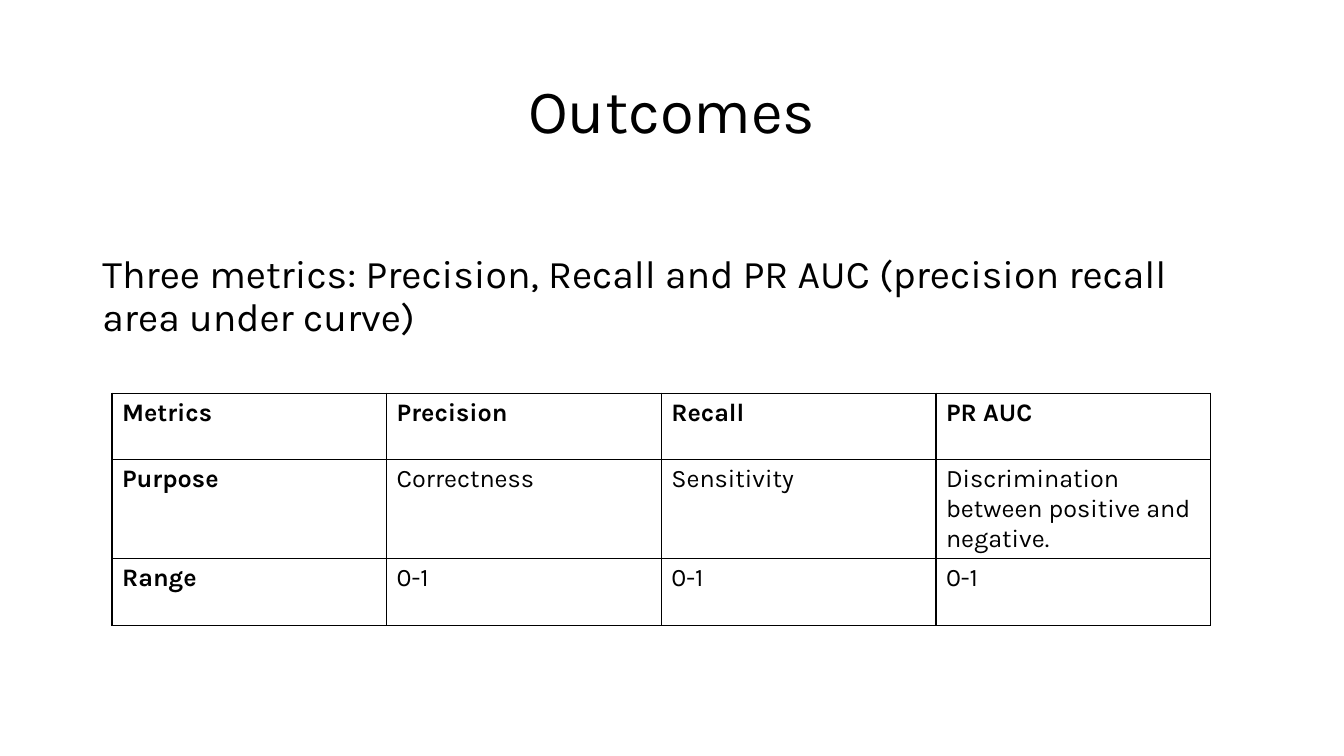
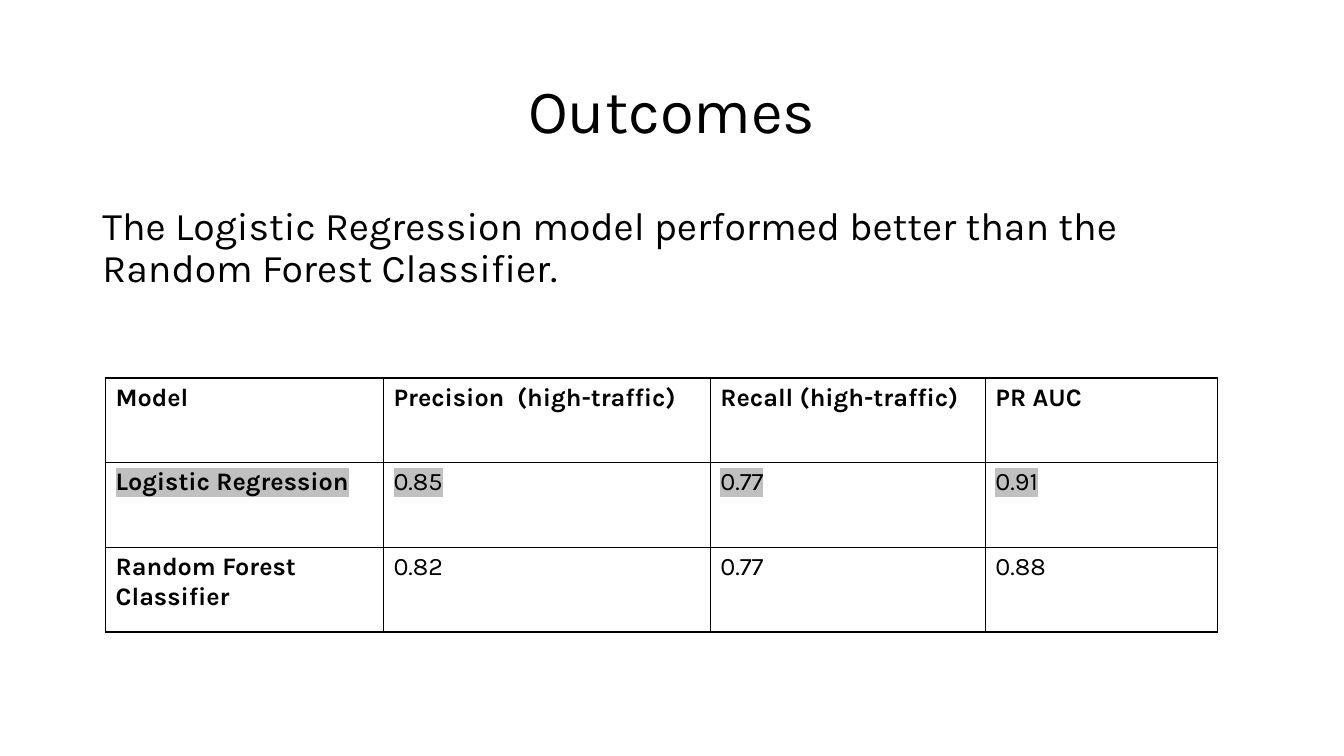
from lxml.etree import SubElement as Sub
from pptx import Presentation
from pptx.dml.color import RGBColor
from pptx.enum.text import MSO_ANCHOR as Anchor, MSO_AUTO_SIZE as Fit, PP_ALIGN as Align
from pptx.oxml.ns import qn
from pptx.util import Pt

# Shared style
BLACK = RGBColor(0x00, 0x00, 0x00)
GREY = RGBColor(0xC0, 0xC0, 0xC0)
FACE = "Karla"
LEFT, WIDTH = 66, 828
FOOT = 486.5  # lower edge of the body text


def style(para, size, bold=False):
    font = para.font
    font.name, font.size, font.bold = FACE, Pt(size), bold
    font.color.rgb = BLACK


def fill_holder(shape, text, top, height, size, anchor):
    """Place a placeholder and set its one paragraph."""
    shape.left, shape.top = Pt(LEFT), Pt(top)
    shape.width, shape.height = Pt(WIDTH), Pt(height)
    frame = shape.text_frame
    frame.text = text
    frame.auto_size = Fit.NONE
    frame.vertical_anchor = anchor
    para = frame.paragraphs[0]
    para.line_spacing = 0.9
    style(para, size)
    return para


def add_slide(deck, title, text, top):
    slide = deck.slides.add_slide(deck.slide_layouts[1])
    head = fill_holder(slide.shapes.title, title, 28.8, 104.4, 44, Anchor.MIDDLE)
    head.alignment = Align.CENTER
    body = fill_holder(slide.placeholders[1], text, top, FOOT - top, 28, Anchor.TOP)
    body.space_before = Pt(10)
    # Plain text: no bullet, no indent
    props = body._p.get_or_add_pPr()
    props.set("marL", "0")
    props.set("indent", "0")
    props.insert_element_before(props.makeelement(qn("a:buNone")), "a:defRPr")
    return slide


def add_edges(cell):
    props = cell._tc.get_or_add_tcPr()
    for spot, side in enumerate(("lnL", "lnR", "lnT", "lnB")):
        line = props.makeelement(qn("a:" + side), {"w": str(Pt(1))})
        fill = Sub(line, qn("a:solidFill"))
        Sub(fill, qn("a:srgbClr"), val=str(BLACK))
        props.insert(spot, line)


def mark(para):
    """Highlight the text of a paragraph."""
    for run in para.runs:
        light = Sub(run._r.get_or_add_rPr(), qn("a:highlight"))
        Sub(light, qn("a:srgbClr"), val=str(GREY))


def add_grid(slide, rows, left, top, widths, height, best=None):
    """Add a table with bold first row and column; mark the row 'best'."""
    frame = slide.shapes.add_table(len(rows), len(widths), Pt(left), Pt(top),
                                   Pt(sum(widths)), Pt(height * len(rows)))
    table = frame.table
    table.first_row = table.horz_banding = False
    for col, width in zip(table.columns, widths):
        col.width = Pt(width)
    for i, row in enumerate(rows):
        table.rows[i].height = Pt(height)
        for j, text in enumerate(row):
            cell = table.cell(i, j)
            cell.text = text
            cell.fill.background()
            add_edges(cell)
            para = cell.text_frame.paragraphs[0]
            style(para, 18, bold=i == 0 or j == 0)
            if i == best:
                mark(para)


def main():
    deck = Presentation()
    deck.slide_width, deck.slide_height = Pt(960), Pt(540)

    # Metrics
    slide = add_slide(deck, "Outcomes",
                      "Three metrics: Precision, Recall and PR AUC "
                      "(precision recall area under curve)", 178.5)
    add_grid(slide, [
        ("Metrics", "Precision", "Recall", "PR AUC"),
        ("Purpose", "Correctness", "Sensitivity",
         "Discrimination between positive and negative."),
        ("Range", "0-1", "0-1", "0-1"),
    ], 80, 280.8, [196.2] * 4, 47.6)

    # Model results
    slide = add_slide(deck, "Outcomes",
                      "The Logistic Regression model performed better than "
                      "the Random Forest Classifier.", 144)
    add_grid(slide, [
        ("Model", "Precision  (high-traffic)", "Recall (high-traffic)", "PR AUC"),
        ("Logistic Regression", "0.85", "0.77", "0.91"),
        ("Random Forest Classifier", "0.82", "0.77", "0.88"),
    ], 75.4, 270, [198.5, 233.5, 196.5, 166], 60.5, best=1)

    deck.save("out.pptx")


if __name__ == "__main__":
    main()
